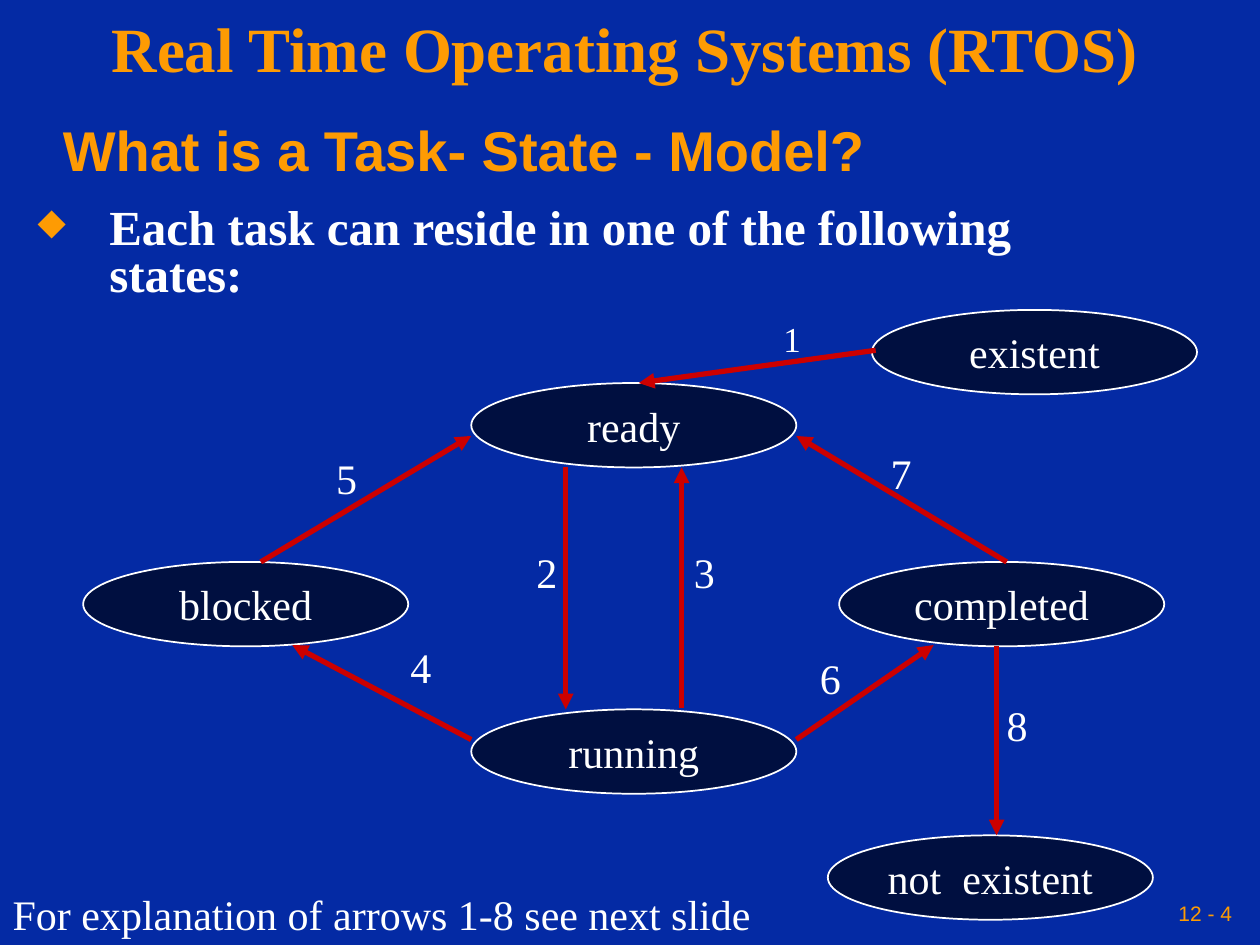
from dataclasses import dataclass
from lxml.etree import SubElement as Sub
from pptx import Presentation
from pptx.dml.color import RGBColor as RGB
from pptx.enum.shapes import MSO_CONNECTOR as Conn, MSO_SHAPE as Shape
from pptx.enum.text import MSO_ANCHOR as Anchor, MSO_AUTO_SIZE as Auto, PP_ALIGN as Align
from pptx.oxml.ns import qn
from pptx.util import Inches, Pt


@dataclass(frozen=True)
class Theme:
    back: str = "042AA4"
    gold: str = "FE9B03"
    white: str = "FFFFFF"
    navy: str = "000F40"
    red: str = "CC0000"
    serif: str = "Times New Roman"
    sans: str = "Arial"
    title: int = 36
    head: int = 32
    point: int = 28
    label: int = 24
    small: int = 20
    page: int = 12


T = Theme()
TITLE = "Real Time Operating Systems (RTOS)"
HEAD = "What is a Task- State - Model?"
POINT = "Each task can reside in one of the following states:"
NOTE = "For explanation of arrows 1-8 see next slide"
PAGE = "12 - 4"

OVAL = (2.58, 0.67)
STATES = {  # name: left, top
    "existent": (6.92, 2.46),
    "not  existent": (6.57, 6.63),
    "ready": (3.74, 3.04),
    "completed": (6.66, 4.46),
    "blocked": (0.66, 4.46),
    "running": (3.74, 5.63),
}
ARROWS = [  # number, start, end, label corner, label size
    ("1", (6.95, 2.78), (5.07, 3.04), (6.12, 2.47), T.small),
    ("2", (4.49, 3.71), (4.49, 5.63), (4.16, 4.29), T.label),
    ("3", (5.41, 5.62), (5.41, 3.71), (5.41, 4.29), T.label),
    ("4", (3.74, 5.87), (2.32, 5.12), (3.16, 5.04), T.label),
    ("5", (2.07, 4.46), (3.74, 3.46), (2.57, 3.54), T.label),
    ("6", (6.32, 5.87), (7.41, 5.12), (6.41, 5.13), T.label),
    ("7", (7.99, 4.46), (6.32, 3.46), (6.97, 3.5), T.label),
    ("8", (7.91, 5.13), (7.91, 6.63), (7.89, 5.5), T.label),
]


def inch(*vals):
    return [Inches(v) for v in vals]


def write(shape, text, size, color=T.white, font=T.serif, bold=False,
          wrap=False, pad=0.1, anchor=Anchor.TOP, auto=Auto.NONE, **para):
    """Put one formatted paragraph in a shape and return it."""
    frame = shape.text_frame
    frame.text = text
    side = Inches(pad)
    edge = Inches(0.05)
    look = dict(word_wrap=wrap, auto_size=auto, vertical_anchor=anchor,
                margin_left=side, margin_right=side,
                margin_top=edge, margin_bottom=edge)
    line = frame.paragraphs[0]
    face = line.runs[0].font
    face.color.rgb = RGB.from_string(color)
    for item, vals in ((frame, look), (line, para),
                       (face, dict(size=Pt(size), name=font, bold=bold))):
        for key, val in vals.items():
            setattr(item, key, val)
    return line


def bullet(line, char, color, pct):
    props = line._p.get_or_add_pPr()
    props.set("marL", str(Inches(0.57)))
    props.set("indent", str(-Inches(0.57)))
    Sub(Sub(props, qn("a:buClr")), qn("a:srgbClr"), val=color)
    Sub(props, qn("a:buSzPct"), val=str(pct * 1000))
    Sub(props, qn("a:buChar"), char=char)


def text_box(slide, box, *args, **opts):
    return write(slide.shapes.add_textbox(*inch(*box)), *args, **opts)


def add_state(slide, name, spot):
    oval = slide.shapes.add_shape(Shape.OVAL, *inch(*spot, *OVAL))
    oval.shadow.inherit = False
    oval.fill.solid()
    oval.fill.fore_color.rgb = RGB.from_string(T.navy)
    oval.line.color.rgb = RGB.from_string(T.white)
    oval.line.width = Pt(1)
    write(oval, name, T.label, anchor=Anchor.MIDDLE, alignment=Align.CENTER)


def add_arrow(slide, start, end):
    link = slide.shapes.add_connector(Conn.STRAIGHT, *inch(*start, *end))
    link.line.color.rgb = RGB.from_string(T.red)
    link.line.width = Pt(3)
    Sub(link.line._get_or_add_ln(), qn("a:tailEnd"), type="triangle")
    Sub(link._element.spPr, qn("a:effectLst"))


def main():
    deck = Presentation()
    deck.slide_width, deck.slide_height = inch(10, 7.5)
    slide = deck.slides.add_slide(deck.slide_layouts[5])
    slide.background.fill.solid()
    slide.background.fill.fore_color.rgb = RGB.from_string(T.back)

    title = slide.shapes.title
    title.left, title.top, title.width, title.height = inch(0, 0, 9.92, 0.83)
    write(title, TITLE, T.title, T.gold, bold=True, wrap=True, pad=0.05,
          anchor=Anchor.MIDDLE, alignment=Align.CENTER, line_spacing=0.9)
    point = text_box(slide, (0.2, 1.6, 8.5, 1.98), POINT, T.point, bold=True,
                     wrap=True, line_spacing=0.8, space_before=Pt(14))
    bullet(point, "◆", T.gold, 75)
    text_box(slide, (0.4, 0.97, 6.6, 0.53), HEAD, T.head, T.gold, T.sans, True,
             auto=Auto.SHAPE_TO_FIT_TEXT, line_spacing=0.8, space_before=Pt(20))

    for name, spot in STATES.items():
        add_state(slide, name, spot)
    for num, start, end, spot, size in ARROWS:
        add_arrow(slide, start, end)
        text_box(slide, (*spot, 0.36, 0.5), num, size,
                 auto=Auto.SHAPE_TO_FIT_TEXT)

    text_box(slide, (0, 7, 6.06, 0.5), NOTE, T.label,
             auto=Auto.SHAPE_TO_FIT_TEXT, alignment=Align.CENTER)
    text_box(slide, (6.83, 7.08, 3, 0.33), PAGE, T.page, T.gold, T.sans,
             wrap=True, pad=0.05, anchor=Anchor.MIDDLE, alignment=Align.RIGHT)
    deck.save("out.pptx")


if __name__ == "__main__":
    main()
